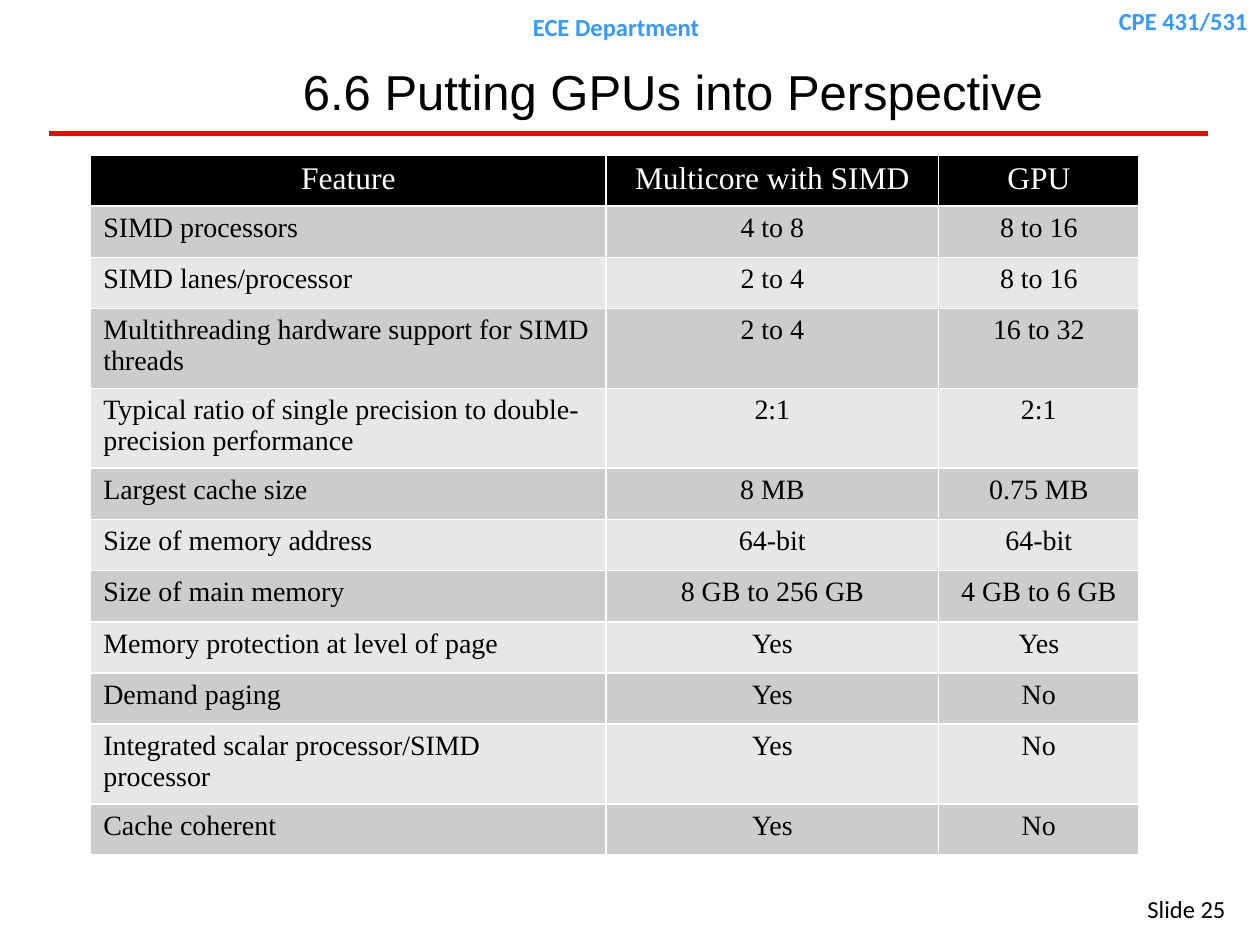
from dataclasses import dataclass

from lxml import etree
from pptx import Presentation
from pptx.dml.color import RGBColor
from pptx.enum.shapes import MSO_CONNECTOR
from pptx.enum.text import MSO_ANCHOR, PP_ALIGN
from pptx.oxml.ns import qn
from pptx.util import Inches, Pt

BLACK = RGBColor(0x00, 0x00, 0x00)
WHITE = RGBColor(0xFF, 0xFF, 0xFF)
RED = RGBColor(0xFF, 0x00, 0x00)
BLUE = RGBColor(0x33, 0x99, 0xFF)
DARK_BAND = RGBColor(0xCC, 0xCC, 0xCC)
LIGHT_BAND = RGBColor(0xE7, 0xE7, 0xE7)
LEFT, CENTER, RIGHT = PP_ALIGN.LEFT, PP_ALIGN.CENTER, PP_ALIGN.RIGHT
MIDDLE = MSO_ANCHOR.MIDDLE
STRAIGHT = MSO_CONNECTOR.STRAIGHT

TABLE_HEIGHT = 5.55
TALL_ROW = 0.63
COLUMN_WIDTHS = (4.09, 2.64, 1.59)


@dataclass(frozen=True)
class Label:
    """A short line of text in the page margin."""
    text: str
    left: float
    top: float
    width: float
    align: PP_ALIGN
    color: RGBColor
    bold: bool


@dataclass(frozen=True)
class Feature:
    """One table row comparing the two kinds of processor."""
    name: str
    multicore: str
    gpu: str
    tall: bool = False


LABELS = (
    Label("CPE 431/531", 7.72, 0, 2.28, RIGHT, BLUE, True),
    Label("ECE Department", 3.44, 0.05, 2.9, CENTER, BLUE, True),
    Label("Slide 25 ", 8.41, 7.05, 1.46, RIGHT, BLACK, False),
)

FEATURES = (
    Feature("Feature", "Multicore with SIMD", "GPU"),
    Feature("SIMD processors", "4 to 8", "8 to 16"),
    Feature("SIMD lanes/processor", "2 to 4", "8 to 16"),
    Feature("Multithreading hardware support for SIMD threads",
            "2 to 4", "16 to 32", tall=True),
    Feature("Typical ratio of single precision to double-precision performance",
            "2:1", "2:1", tall=True),
    Feature("Largest cache size", "8 MB", "0.75 MB"),
    Feature("Size of memory address", "64-bit", "64-bit"),
    Feature("Size of main memory", "8 GB to 256 GB", "4 GB to 6 GB"),
    Feature("Memory protection at level of page", "Yes", "Yes"),
    Feature("Demand paging", "Yes", "No"),
    Feature("Integrated scalar processor/SIMD processor",
            "Yes", "No", tall=True),
    Feature("Cache coherent", "Yes", "No"),
)


def write_text(frame, text: str, font_name: str, size: int, color: RGBColor,
               align: PP_ALIGN, bold: bool = False) -> None:
    """Fill a text frame with one formatted paragraph."""
    para = frame.paragraphs[0]
    para.text = text
    para.alignment = align
    para.font.name = font_name
    para.font.size = Pt(size)
    para.font.bold = bold
    para.font.color.rgb = color


def add_label(page, label: Label) -> None:
    """Place a margin label."""
    box = page.shapes.add_textbox(Inches(label.left), Inches(label.top),
                                  Inches(label.width), Inches(0.34))
    box.text_frame.word_wrap = True
    write_text(box.text_frame, label.text, "Calibri", 14, label.color,
               label.align, label.bold)


def add_title(page, text: str) -> None:
    """Position and fill the title placeholder."""
    title = page.shapes.title
    title.left, title.top = Inches(1.09), Inches(0.38)
    title.width, title.height = Inches(8.5), Inches(0.69)
    title.text_frame.vertical_anchor = MIDDLE
    write_text(title.text_frame, text, "Arial", 28, BLACK, CENTER)


def add_title_rule(page) -> None:
    """Draw the red line under the title."""
    rule = page.shapes.add_connector(STRAIGHT, Inches(0.39), Inches(1.06),
                                     Inches(9.59), Inches(1.06))
    rule.line.color.rgb = RED
    rule.line.width = Pt(3)
    etree.SubElement(rule._element.spPr, qn("a:effectLst"))


def add_borders(cell) -> None:
    """Give a cell thin white borders, placed ahead of its fill."""
    properties = cell._tc.get_or_add_tcPr()
    for index, side in enumerate(("a:lnL", "a:lnR", "a:lnT", "a:lnB")):
        border = etree.Element(qn(side), w=str(Pt(1)))
        fill = etree.SubElement(border, qn("a:solidFill"))
        etree.SubElement(fill, qn("a:srgbClr"), val=str(WHITE))
        properties.insert(index, border)


def add_feature_table(page) -> None:
    """Build the comparison table with a black header and grey bands."""
    frame = page.shapes.add_table(
        len(FEATURES), len(COLUMN_WIDTHS), Inches(0.72), Inches(1.23),
        Inches(sum(COLUMN_WIDTHS)), Inches(TABLE_HEIGHT))
    table = frame.table
    table.first_row = table.horz_banding = False
    for column, width in zip(table.columns, COLUMN_WIDTHS):
        column.width = Inches(width)

    tall_count = sum(feature.tall for feature in FEATURES)
    plain_row = ((TABLE_HEIGHT - tall_count * TALL_ROW)
                 / (len(FEATURES) - tall_count))
    for row_index, feature in enumerate(FEATURES):
        header = row_index == 0
        band = DARK_BAND if row_index % 2 else LIGHT_BAND
        row = table.rows[row_index]
        row.height = Inches(TALL_ROW if feature.tall else plain_row)
        texts = (feature.name, feature.multicore, feature.gpu)
        for column_index, (cell, text) in enumerate(zip(row.cells, texts)):
            cell.fill.solid()
            cell.fill.fore_color.rgb = BLACK if header else band
            add_borders(cell)
            write_text(cell.text_frame, text, "Times New Roman",
                       18 if header else 16, WHITE if header else BLACK,
                       CENTER if header or column_index else LEFT)


def build_deck() -> None:
    """Create the slide and save the deck."""
    deck = Presentation()
    deck.slide_width, deck.slide_height = Inches(10), Inches(7.5)
    page = deck.slides.add_slide(deck.slide_layouts[5])
    add_title_rule(page)
    for label in LABELS:
        add_label(page, label)
    add_title(page, "6.6 Putting GPUs into Perspective")
    add_feature_table(page)
    deck.save("out.pptx")


build_deck()
